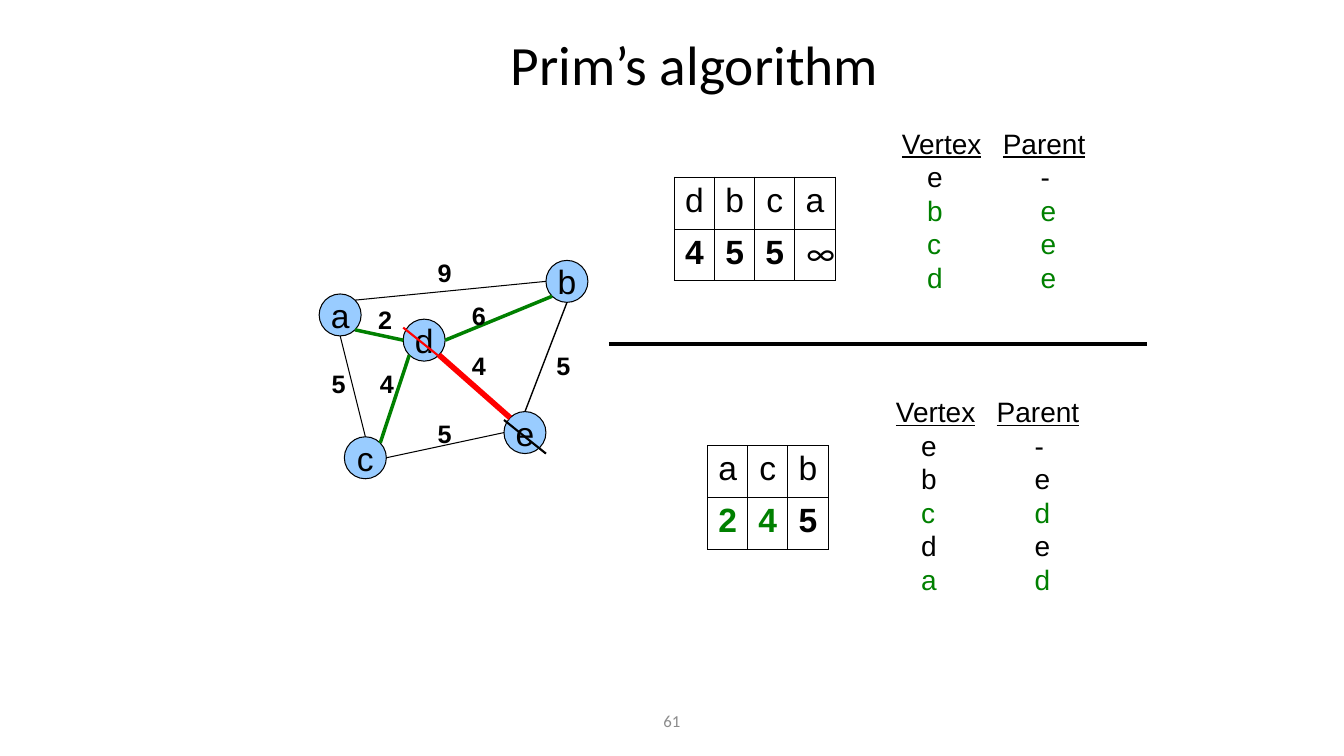
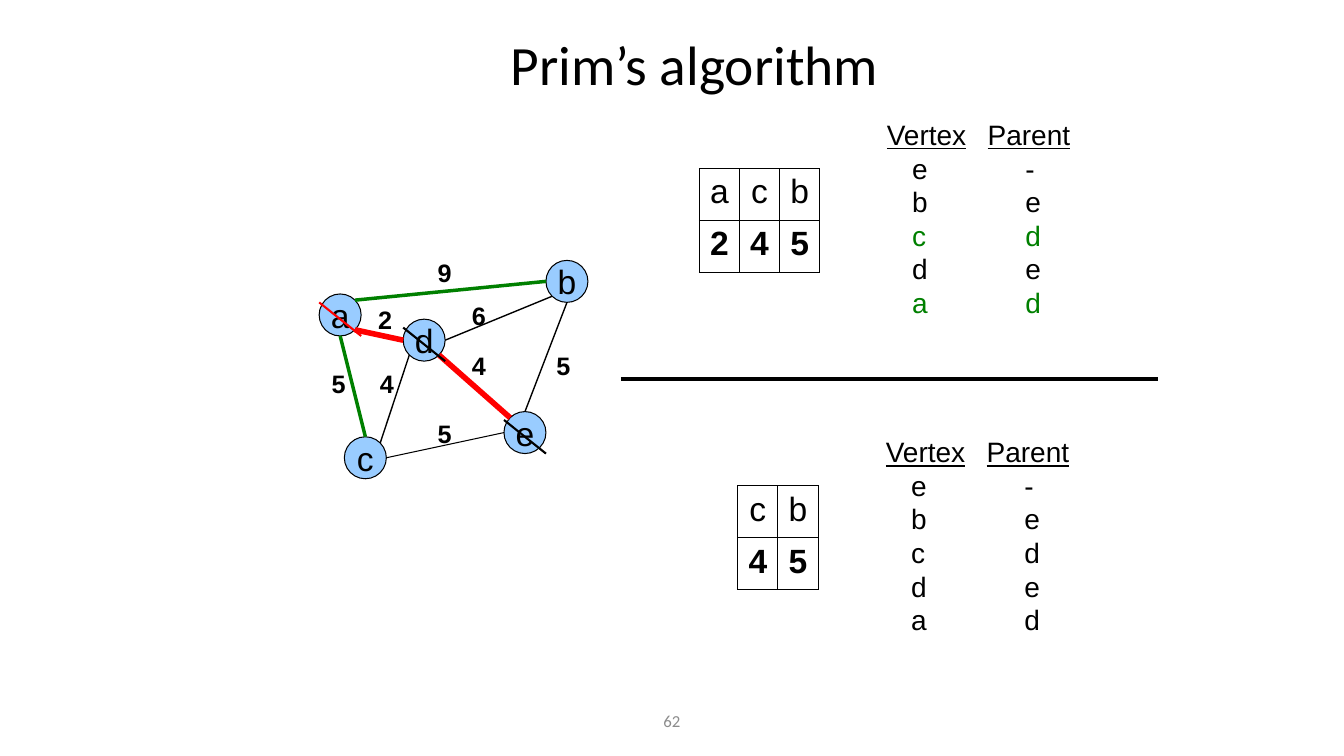
from dataclasses import dataclass
from math import hypot

from lxml import etree
from pptx import Presentation
from pptx.dml.color import RGBColor
from pptx.enum.shapes import MSO_CONNECTOR, MSO_SHAPE
from pptx.enum.text import MSO_ANCHOR, PP_ALIGN
from pptx.oxml.ns import qn
from pptx.util import Pt

LEFT, CENTER, RIGHT = PP_ALIGN.LEFT, PP_ALIGN.CENTER, PP_ALIGN.RIGHT
TOP, MIDDLE = MSO_ANCHOR.TOP, MSO_ANCHOR.MIDDLE
STRAIGHT, OVAL = MSO_CONNECTOR.STRAIGHT, MSO_SHAPE.OVAL


@dataclass(frozen=True)
class Theme:
    black: RGBColor = RGBColor(0x00, 0x00, 0x00)
    gray: RGBColor = RGBColor(0x8C, 0x8C, 0x8C)
    green: RGBColor = RGBColor(0x00, 0x80, 0x00)
    red: RGBColor = RGBColor(0xFF, 0x00, 0x00)
    node_blue: RGBColor = RGBColor(0x99, 0xCC, 0xFF)
    heading_font: str = "Calibri"
    body_font: str = "Arial"
    title_size: float = 39.6
    symbol_size: float = 24
    list_size: float = 20
    weight_size: float = 18
    footer_size: float = 12
    hairline: float = 0.75
    strike_width: float = 1.5
    candidate_width: float = 2.5
    divider_width: float = 3
    tree_width: float = 4


THEME = Theme()
NODE_SIZE = 30
CELL_WIDTH, CELL_HEIGHT = 28.7, 37.1
LIST_RISE = 40
LIST_LINE = 24
LIST_TABS = (18, 72, 99)
DIVIDER_LENGTH = 384
DIRECTIONS = {
    "N": (0, -1), "NE": (1, -1), "E": (1, 0), "SE": (1, 1),
    "S": (0, 1), "SW": (-1, 1), "W": (-1, 0), "NW": (-1, -1),
}


@dataclass(frozen=True)
class Node:
    left: float
    top: float

    def rim(self, direction: str) -> tuple[float, float]:
        """Point on the circle that faces a compass direction."""
        across, down = DIRECTIONS[direction]
        radius = NODE_SIZE / 2
        reach = radius / hypot(across, down)
        return self.left + radius + across * reach, self.top + radius + down * reach


@dataclass(frozen=True)
class Edge:
    start: str
    start_side: str
    end: str
    end_side: str
    weight: str
    label_left: float
    label_top: float
    width: float = THEME.hairline

    @property
    def name(self) -> str:
        return self.start + self.end


@dataclass(frozen=True)
class Panel:
    """Priority queue beside the vertex and parent list; one letter per entry."""
    queue_left: float
    queue_top: float
    queue: str
    keys: str
    list_left: float
    vertices: str
    parents: str
    new_parents: str = ""
    new_keys: str = ""


@dataclass(frozen=True)
class Step:
    number: str
    done: str
    current: str
    tree: tuple[str, ...]
    candidates: tuple[str, ...]
    divider: tuple[float, float]
    panels: tuple[Panel, ...]


NODES = {
    "a": Node(228, 210), "c": Node(246, 312), "e": Node(360, 294),
    "d": Node(288, 228), "b": Node(390, 186),
}
EDGES = (
    Edge("a", "NE", "b", "W", "9", 305.3, 180),
    Edge("d", "E", "b", "SW", "6", 329.8, 211, 1),
    Edge("a", "S", "c", "N", "5", 229.7, 259.2),
    Edge("a", "SE", "d", "W", "2", 262.8, 213.8),
    Edge("c", "NE", "d", "SW", "4", 264.2, 259.2, 1),
    Edge("d", "SE", "e", "NW", "4", 329.8, 247),
    Edge("b", "S", "e", "N", "5", 390.2, 247, 1),
    Edge("e", "W", "c", "E", "5", 305.3, 295.2),
)
STEPS = (
    Step("61", "e", "d", ("de",), ("db", "ad", "cd"), (435, 245.5), (
        Panel(481.7, 126.5, "dbca", "455∞", 637.2, "ebcd", "-eee", "bcd"),
        Panel(505.4, 318.2, "acb", "245", 632.9, "ebcda", "-eded", "ca", "ac"),
    )),
    Step("62", "ed", "a", ("de", "ad"), ("ab", "ac"), (443.5, 270.7), (
        Panel(499.5, 120.4, "acb", "245", 626.4, "ebcda", "-eded", "ca"),
        Panel(527, 347, "cb", "45", 625.7, "ebcda", "-eded"),
    )),
)


def style_paragraph(paragraph, size: float, color: RGBColor = THEME.black,
                    name: str = THEME.body_font, bold: bool = False,
                    alignment=CENTER) -> None:
    paragraph.alignment = alignment
    font = paragraph.font
    font.size, font.name, font.bold = Pt(size), name, bold
    font.color.rgb = color


def add_text(slide, text: str, box: tuple[float, float, float, float], size: float,
             anchor=MIDDLE, **style) -> None:
    shape = slide.shapes.add_textbox(*map(Pt, box))
    frame = shape.text_frame
    frame.word_wrap = True
    frame.vertical_anchor = anchor
    frame.margin_left = frame.margin_right = 0
    frame.text = text
    style_paragraph(frame.paragraphs[0], size, **style)


def add_line(slide, start: tuple[float, float], end: tuple[float, float],
             width: float, color: RGBColor = THEME.black) -> None:
    connector = slide.shapes.add_connector(STRAIGHT, *map(Pt, (*start, *end)))
    connector.line.width = Pt(width)
    connector.line.color.rgb = color
    etree.SubElement(connector._element.spPr, qn("a:effectLst"))


def add_node(slide, label: str, node: Node) -> None:
    shape = slide.shapes.add_shape(
        OVAL, Pt(node.left), Pt(node.top), Pt(NODE_SIZE), Pt(NODE_SIZE))
    shape.shadow.inherit = False
    shape.fill.solid()
    shape.fill.fore_color.rgb = THEME.node_blue
    shape.line.color.rgb = THEME.black
    shape.line.width = Pt(THEME.hairline)
    frame = shape.text_frame
    frame.word_wrap = False
    frame.vertical_anchor = MIDDLE
    frame.text = label
    style_paragraph(frame.paragraphs[0], THEME.symbol_size)


def add_graph(slide, step: Step) -> None:
    for label, node in NODES.items():
        add_node(slide, label, node)
    for edge in EDGES:
        width, color = edge.width, THEME.black
        if edge.name in step.tree:
            width, color = THEME.tree_width, THEME.red
        elif edge.name in step.candidates:
            width, color = THEME.candidate_width, THEME.green
        add_line(slide, NODES[edge.start].rim(edge.start_side),
                 NODES[edge.end].rim(edge.end_side), width, color)
    for edge in EDGES:
        add_text(slide, edge.weight, (edge.label_left, edge.label_top, 24.5, 28.8),
                 THEME.weight_size, anchor=TOP, bold=True)
    for label in step.done + step.current:
        node = NODES[label]
        color = THEME.red if label == step.current else THEME.black
        add_line(slide, (node.left, node.top + 6),
                 (node.left + NODE_SIZE, node.top + NODE_SIZE), THEME.strike_width, color)


def add_cell_borders(cell) -> None:
    properties = cell._tc.get_or_add_tcPr()
    for side in ("lnL", "lnR", "lnT", "lnB"):
        line = etree.SubElement(properties, qn(f"a:{side}"), w=str(Pt(THEME.hairline)))
        fill = etree.SubElement(line, qn("a:solidFill"))
        etree.SubElement(fill, qn("a:srgbClr"), val=str(THEME.black))


def add_queue(slide, panel: Panel) -> None:
    columns = len(panel.queue)
    table = slide.shapes.add_table(
        2, columns, Pt(panel.queue_left), Pt(panel.queue_top),
        Pt(CELL_WIDTH * columns), Pt(CELL_HEIGHT * 2)).table
    table.first_row = table.horz_banding = False
    for column in table.columns:
        column.width = Pt(CELL_WIDTH)
    for row_index, symbols in enumerate((panel.queue, panel.keys)):
        table.rows[row_index].height = Pt(CELL_HEIGHT)
        for column_index, symbol in enumerate(symbols):
            cell = table.cell(row_index, column_index)
            add_cell_borders(cell)
            cell.fill.background()
            cell.margin_left = cell.margin_right = 0
            cell.text = symbol
            is_key, is_infinite = row_index == 1, symbol == "∞"
            is_new = is_key and panel.queue[column_index] in panel.new_keys
            style_paragraph(
                cell.text_frame.paragraphs[0], THEME.symbol_size,
                THEME.green if is_new else THEME.black,
                THEME.heading_font if is_infinite else THEME.body_font,
                is_key and not is_infinite, RIGHT if is_infinite else CENTER)


def add_tab_stops(paragraph) -> None:
    tab_list = etree.SubElement(paragraph._p.get_or_add_pPr(), qn("a:tabLst"))
    for position in LIST_TABS:
        etree.SubElement(tab_list, qn("a:tab"), pos=str(Pt(position)), algn="l")


def add_parent_list(slide, panel: Panel) -> None:
    rows = [f"\t{vertex}\t\t{parent}"
            for vertex, parent in zip(panel.vertices, panel.parents)]
    shape = slide.shapes.add_textbox(
        Pt(panel.list_left), Pt(panel.queue_top - LIST_RISE),
        Pt(150), Pt(LIST_LINE * (len(rows) + 1) + 7.2))
    frame = shape.text_frame
    frame.word_wrap = True
    frame.margin_right = 0
    frame.text = "\n".join(["Vertex\tParent", *rows])
    heading, *entries = frame.paragraphs
    for paragraph in frame.paragraphs:
        add_tab_stops(paragraph)
        paragraph.line_spacing = Pt(LIST_LINE)
        style_paragraph(paragraph, THEME.list_size, alignment=LEFT)
    heading.font.underline = True
    for vertex, paragraph in zip(panel.vertices, entries):
        if vertex in panel.new_parents:
            paragraph.font.color.rgb = THEME.green


def add_step_slide(presentation, step: Step) -> None:
    slide = presentation.slides.add_slide(presentation.slide_layouts[6])
    add_text(slide, step.number, (328, 500.5, 304, 28.8), THEME.footer_size,
             color=THEME.gray, name=THEME.heading_font)
    add_text(slide, "Prim’s algorithm", (152, 18, 688, 54), THEME.title_size,
             name=THEME.heading_font)
    add_graph(slide, step)
    left, top = step.divider
    add_line(slide, (left, top), (left + DIVIDER_LENGTH, top), THEME.divider_width)
    for panel in step.panels:
        add_queue(slide, panel)
        add_parent_list(slide, panel)


def main() -> None:
    presentation = Presentation()
    presentation.slide_width, presentation.slide_height = Pt(960), Pt(540)
    for step in STEPS:
        add_step_slide(presentation, step)
    presentation.save("out.pptx")


if __name__ == "__main__":
    main()
